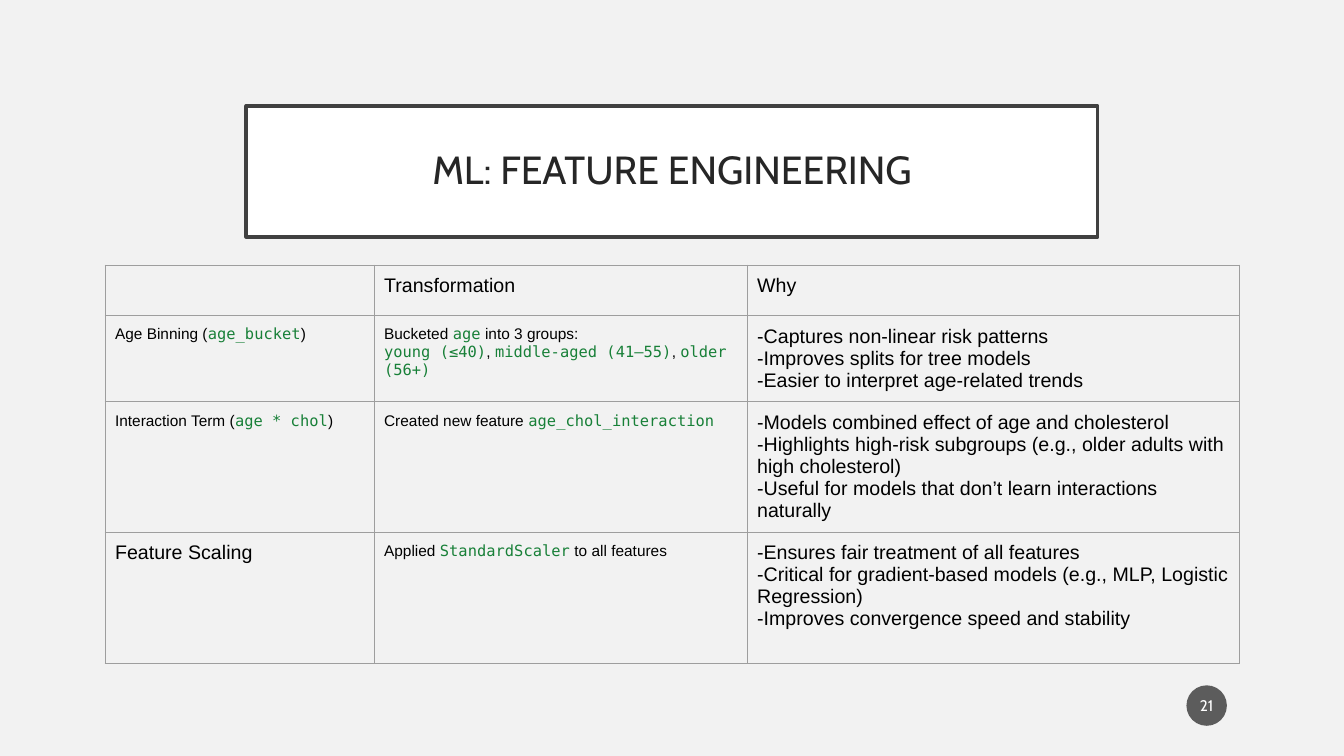
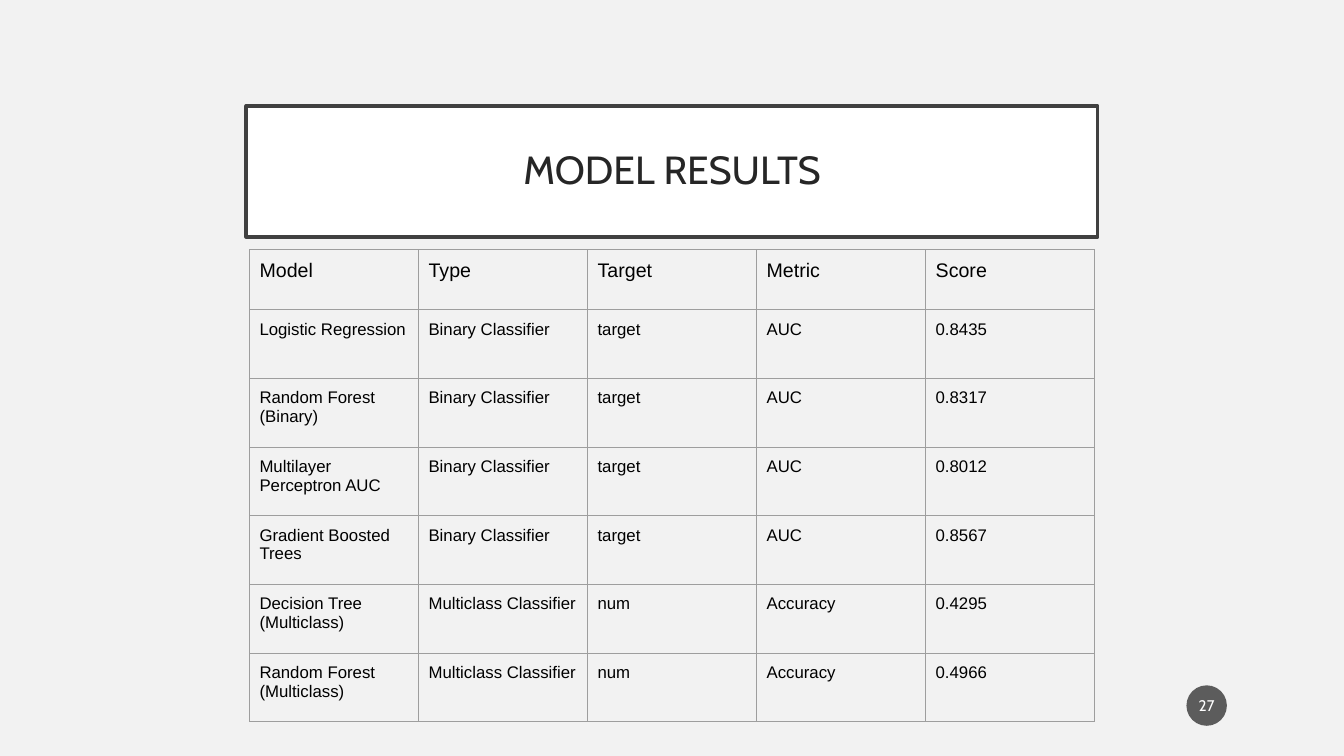
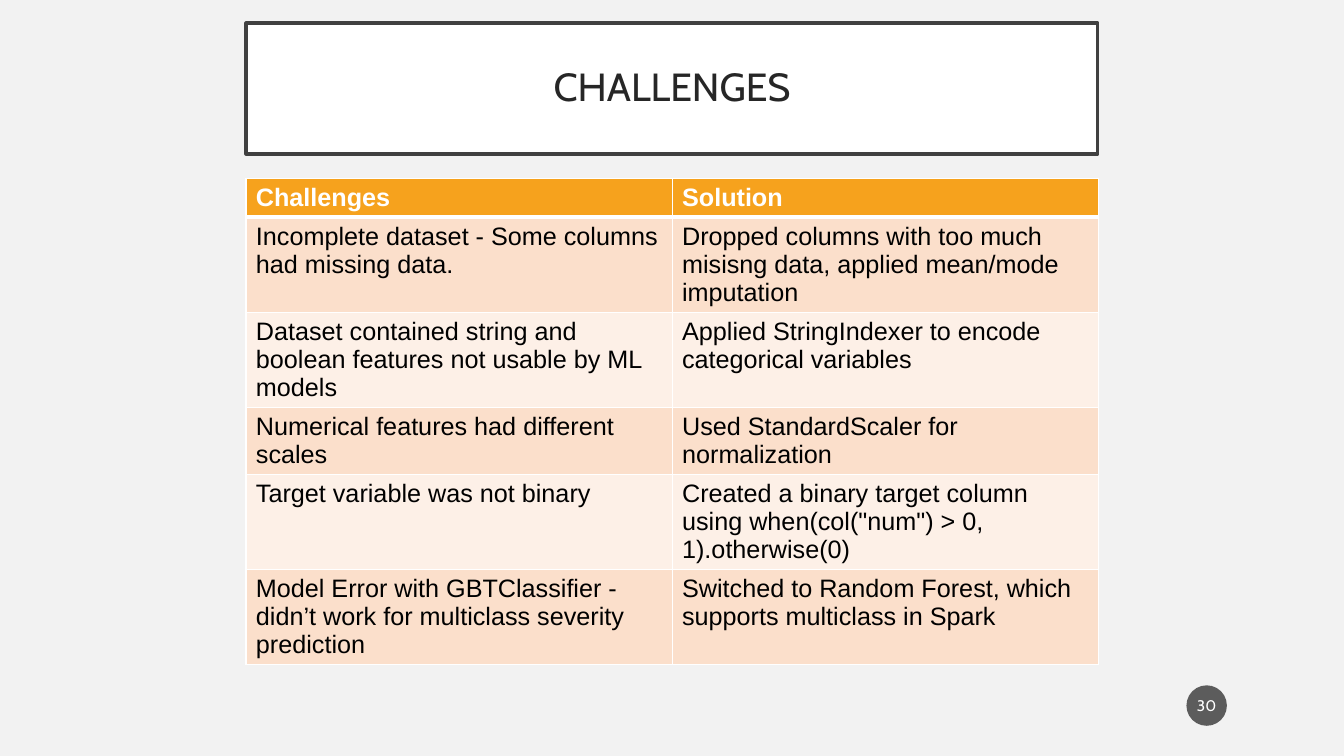
from pptx import Presentation
from pptx import util as u
from pptx.dml.color import RGBColor
from pptx.enum import shapes, text
from pptx.oxml.ns import qn
from lxml import etree

COLORS = {
    "back": "F2F2F2", "white": "FFFFFF", "frame": "404040", "title": "262626",
    "text": "000000", "code": "188038", "grid": "9E9E9E", "badge": "1D1D1D",
    "header": "F6A21D", "band": "FBDFCB", "light": "FDF0E7",
}
SLIDE_W, SLIDE_H = 33.87, 19.05
TITLE_W, TITLE_H = 21.46, 3.3
BADGE_X, BADGE_Y, BADGE_D = 29.9, 17.27, 1.02

PLAIN = {"grid": "grid", "width": 0.75, "header_rule": 0.75, "margin_y": 0.25,
         "fills": None, "head": {"size": 14, "bold": False, "color": "text"}}
BANDED = {"grid": "white", "width": 1, "header_rule": 3, "margin_y": 0.13,
          "fills": ("header", "band", "light"),
          "head": {"size": 18, "bold": True, "color": "white"}}

SLIDES = [
    {
        "title": "ML: FEATURE ENGINEERING", "title_y": 2.67, "page": "21",
        "style": PLAIN, "size": 14, "code_size": 11, "at": (2.65, 6.68),
        "cols": [6.78, 9.4, 12.4], "rows": [1.21, 2.17, 3.28, 3.3],
        "cells": [
            ["", "Transformation", "Why"],
            ["Age Binning (`age_bucket`)",
             "Bucketed `age` into 3 groups:\n"
             "`young (≤40)`, `middle-aged (41–55)`, `older (56+)`",
             "-Captures non-linear risk patterns\n"
             "-Improves splits for tree models\n"
             "-Easier to interpret age-related trends"],
            ["Interaction Term (`age * chol`)",
             "Created new feature `age_chol_interaction`",
             "-Models combined effect of age and cholesterol\n"
             "-Highlights high-risk subgroups (e.g., older adults with high cholesterol)\n"
             "-Useful for models that don’t learn interactions naturally"],
            ["Feature Scaling",
             "Applied `StandardScaler` to all features",
             "-Ensures fair treatment of all features\n"
             "-Critical for gradient-based models (e.g., MLP, Logistic Regression)\n"
             "-Improves convergence speed and stability"],
        ],
    },
    {
        "title": "MODEL RESULTS", "title_y": 2.67, "page": "27",
        "style": PLAIN, "size": 12, "code_size": 12, "at": (6.29, 6.29),
        "cols": [4.26] * 5, "rows": [1.52] + [1.73] * 6,
        "cells": [
            ["Model", "Type", "Target", "Metric", "Score"],
            ["Logistic Regression", "Binary Classifier", "target", "AUC", "0.8435"],
            ["Random Forest (Binary)", "Binary Classifier", "target", "AUC", "0.8317"],
            ["Multilayer Perceptron AUC", "Binary Classifier", "target", "AUC", "0.8012"],
            ["Gradient Boosted Trees", "Binary Classifier", "target", "AUC", "0.8567"],
            ["Decision Tree (Multiclass)", "Multiclass Classifier", "num", "Accuracy", "0.4295"],
            ["Random Forest (Multiclass)", "Multiclass Classifier", "num", "Accuracy", "0.4966"],
        ],
    },
    {
        "title": "CHALLENGES", "title_y": 0.58, "page": "30",
        "style": BANDED, "size": 18, "code_size": 18, "at": (6.2, 4.5),
        "cols": [10.74] * 2, "rows": [0.93, 2.39, 2.39, 1.69, 2.39, 2.39],
        "cells": [
            ["Challenges", "Solution"],
            ["Incomplete dataset - Some columns had missing data.",
             "Dropped columns with too much misisng data, applied mean/mode imputation"],
            ["Dataset contained string and boolean features not usable by ML models",
             "Applied StringIndexer to encode categorical variables"],
            ["Numerical features had different scales",
             "Used StandardScaler for normalization"],
            ["Target variable was not binary",
             "Created a binary target column using when(col(\"num\") > 0, 1).otherwise(0)"],
            ["Model Error with GBTClassifier - didn’t work for multiclass severity prediction",
             "Switched to Random Forest, which supports multiclass in Spark"],
        ],
    },
]


def rgb(name):
    return RGBColor.from_string(COLORS[name])


def set_all(obj, values):
    for name, value in values.items():
        setattr(obj, name, value)


def paint(fill, name):
    fill.solid()
    fill.fore_color.rgb = rgb(name)


def add_run(p, words, size, color, name="Arial", bold=False):
    r = p.add_run()
    r.text = words
    set_all(r.font, {"size": u.Pt(size), "name": name, "bold": bold})
    r.font.color.rgb = rgb(color)


def set_frame(tf, margin_x, margin_y):
    set_all(tf, {
        "margin_left": u.Cm(margin_x), "margin_right": u.Cm(margin_x),
        "margin_top": u.Cm(margin_y), "margin_bottom": u.Cm(margin_y),
        "word_wrap": True, "auto_size": text.MSO_AUTO_SIZE.NONE,
        "vertical_anchor": text.MSO_ANCHOR.MIDDLE,
    })
    p = tf.paragraphs[0]
    p.alignment = text.PP_ALIGN.CENTER
    return p


def add_title(s, words, top):
    sp = s.shapes.title
    set_all(sp, {"left": u.Cm((SLIDE_W - TITLE_W) / 2), "top": u.Cm(top),
                 "width": u.Cm(TITLE_W), "height": u.Cm(TITLE_H)})
    paint(sp.fill, "white")
    sp.line.color.rgb = rgb("frame")
    sp.line.width = u.Pt(2.5)
    p = set_frame(sp.text_frame, 0.5, 0.5)
    p.line_spacing = 0.9
    add_run(p, words, 28, "title", "Cabin")


def add_badge(s, page):
    sp = s.shapes.add_shape(shapes.MSO_SHAPE.OVAL, u.Cm(BADGE_X), u.Cm(BADGE_Y),
                            u.Cm(BADGE_D), u.Cm(BADGE_D))
    sp.shadow.inherit = False
    paint(sp.fill, "badge")
    color = sp.fill._xPr.find(qn("a:solidFill"))[0]
    etree.SubElement(color, qn("a:alpha"), val="70000")
    sp.line.fill.background()
    add_run(set_frame(sp.text_frame, 0.05, 0.13), page, 11, "white", "Cabin")


def set_borders(cell, row, style):
    tc_pr = cell._tc.get_or_add_tcPr()
    heavy = {(0, "B"), (1, "T")}
    for side in "LRTB":
        width = style["header_rule"] if (row, side) in heavy else style["width"]
        ln = etree.SubElement(tc_pr, qn("a:ln" + side), w=str(u.Pt(width)))
        fill = etree.SubElement(ln, qn("a:solidFill"))
        etree.SubElement(fill, qn("a:srgbClr"), val=COLORS[style["grid"]])


def fill_cell(cell, words, row, data):
    style = data["style"]
    set_borders(cell, row, style)
    if style["fills"]:
        header, *bands = style["fills"]
        paint(cell.fill, bands[(row - 1) % 2] if row else header)
    else:
        cell.fill.background()
    set_all(cell, {"margin_left": u.Cm(0.25), "margin_right": u.Cm(0.25),
                   "margin_top": u.Cm(style["margin_y"]),
                   "margin_bottom": u.Cm(style["margin_y"])})
    size = data["code_size"] if "`" in words else data["size"]
    look = {"size": size, "color": "text"} if row else style["head"]
    tf = cell.text_frame
    for i, line in enumerate(words.split("\n")):
        p = tf.add_paragraph() if i else tf.paragraphs[0]
        for j, part in enumerate(line.split("`")):
            if part and j % 2:
                add_run(p, part, size, "code", "DejaVu Sans Mono")
            elif part:
                add_run(p, part, **look)


def add_grid(s, data):
    cols, rows = data["cols"], data["rows"]
    left, top = data["at"]
    table = s.shapes.add_table(len(rows), len(cols), u.Cm(left), u.Cm(top),
                               u.Cm(sum(cols)), u.Cm(sum(rows))).table
    set_all(table, {"first_row": False, "horz_banding": False})
    for col, width in zip(table.columns, cols):
        col.width = u.Cm(width)
    for i, (row, height) in enumerate(zip(table.rows, rows)):
        row.height = u.Cm(height)
        for cell, words in zip(row.cells, data["cells"][i]):
            fill_cell(cell, words, i, data)


def main():
    prs = Presentation()
    set_all(prs, {"slide_width": u.Cm(SLIDE_W), "slide_height": u.Cm(SLIDE_H)})
    paint(prs.slide_master.background.fill, "back")
    for data in SLIDES:
        s = prs.slides.add_slide(prs.slide_layouts[5])
        add_title(s, data["title"], data["title_y"])
        add_grid(s, data)
        add_badge(s, data["page"])
    prs.save("out.pptx")


if __name__ == "__main__":
    main()
